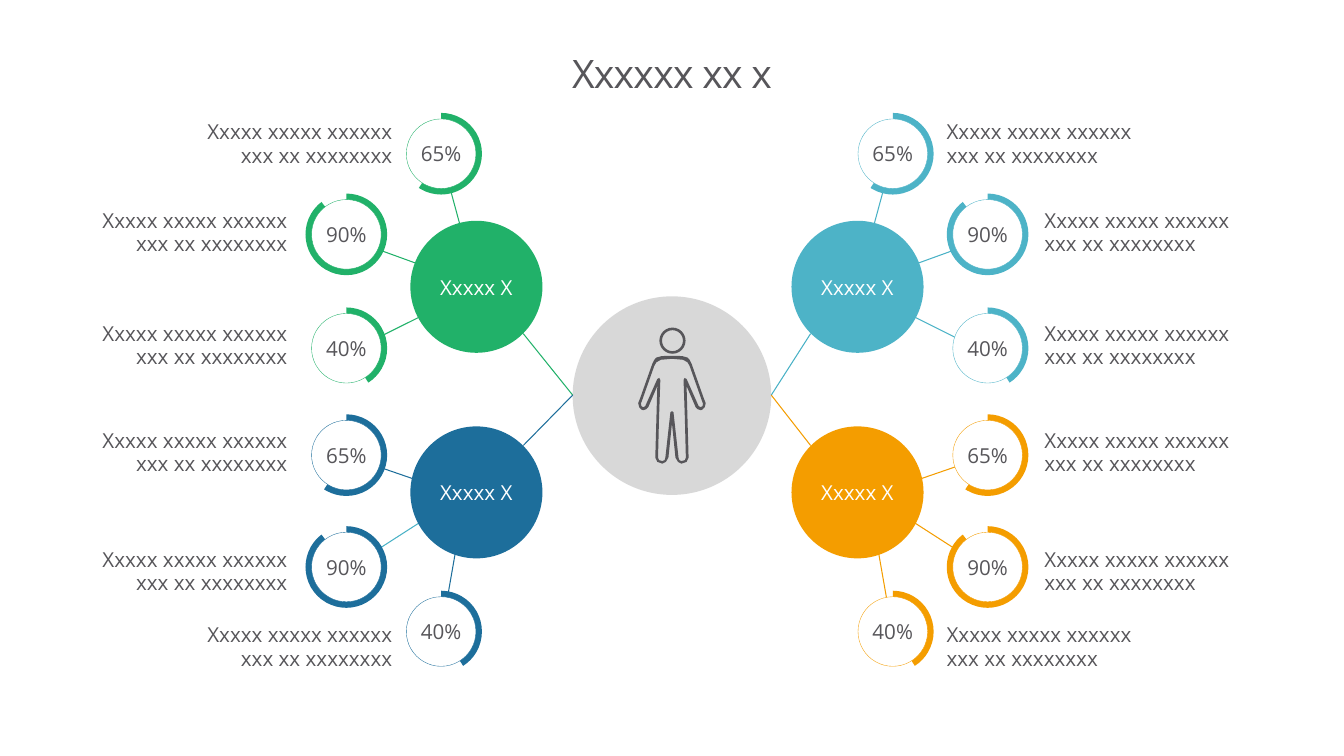
import pptx
import pptx.dml.color
import pptx.enum.shapes
import pptx.enum.text
import pptx.oxml
import pptx.oxml.ns
import pptx.util
from pptx.util import Inches

SHAPE = pptx.enum.shapes.MSO_SHAPE
ALIGN = pptx.enum.text.PP_ALIGN
THEME = {
    "font": "Open Sans", "title": 28, "body": 14.7,
    "text": "57565A", "white": "FFFFFF", "disc": "808080",
    "green": "21B169", "navy": "1D6E9B", "teal": "4DB3C7",
    "teal line": "48B1C6", "orange": "F49D00",
}
MIRROR = 13.23  # a right-hand x becomes MIRROR - x on the left
DISC_LEFT, DISC_TOP, DISC_SIZE = 5.68, 2.94, 1.97
LABEL = "Xxxxx xxxxx xxxxxx xxx xx xxxxxxxx"

deck = pptx.Presentation()
deck.slide_width, deck.slide_height = Inches(13.33), Inches(7.5)
page = deck.slides.add_slide(deck.slide_layouts[6])


def write(shape, text, align, color="text", size="body", spacing=None, wrap=True):
    frame = shape.text_frame
    frame.text = text
    frame.word_wrap = wrap
    para = frame.paragraphs[0]
    para.alignment = align
    if spacing:
        para.line_spacing = spacing
    span = para.runs[0]
    span.font.name = THEME["font"]
    span.font.size = pptx.util.Pt(THEME[size])
    span.font.color.rgb = pptx.dml.color.RGBColor.from_string(THEME[color])
    return span


def add_round(kind, left, top, size, fill, outline=None, text=None, color="text"):
    shape = page.shapes.add_shape(
        kind, Inches(left), Inches(top), Inches(size), Inches(size))
    shape.shadow.inherit = False
    shape.fill.solid()
    shape.fill.fore_color.rgb = pptx.dml.color.RGBColor.from_string(THEME[fill])
    if outline:
        shape.line.color.rgb = pptx.dml.color.RGBColor.from_string(THEME[outline])
        shape.line.width = pptx.util.Pt(0.25)
    else:
        shape.line.fill.background()
    if text:
        shape.text_frame.vertical_anchor = pptx.enum.text.MSO_ANCHOR.MIDDLE
        write(shape, text, ALIGN.CENTER, color, wrap=False)
    return shape


# Title
title = page.shapes.add_textbox(Inches(1), Inches(0.31), Inches(11.33), Inches(0.89))
frame = title.text_frame
frame.margin_left = frame.margin_right = frame.margin_top = frame.margin_bottom = 0
frame.vertical_anchor = pptx.enum.text.MSO_ANCHOR.MIDDLE
title_span = write(title, "Xxxxxx xx x", ALIGN.CENTER, size="title", spacing=0.86)
title_span._r.get_or_add_rPr().set("spc", "-50")

# Columns: dial left on the right side, label left on the right and left sides
COLUMNS = {"inner": (8.45, 9.29, 1.8), "outer": (9.39, 10.26, 0.76)}
SWEEP = {"65%": 212.97, "90%": 322.58, "40%": 147.33}  # degrees from the top

# Dials: column, value, dial top, label top, spoke from hub to dial
UPPER = [
    ("inner", "65%", 1.12, 1.15, (8.5, 2.85, 8.85, 1.56)),
    ("outer", "90%", 1.92, 2.03, (8.53, 2.82, 9.77, 2.37)),
    ("outer", "40%", 3.05, 3.15, (8.5, 2.86, 9.76, 3.49)),
]
LOWER = [
    ("outer", "65%", 4.11, 4.21, (8.64, 4.92, 9.77, 4.53)),
    ("outer", "90%", 5.22, 5.39, (8.61, 4.89, 9.76, 5.63)),
    ("inner", "40%", 5.86, 6.14, (8.61, 4.89, 8.85, 6.26)),
]

# Branches: left side, colour, line colour, colour of the 90% spoke, hub top,
# y where the link meets the hub, dials
BRANCHES = [
    (False, "teal", "teal line", "teal line", 2.19, 3.31, UPPER),
    (False, "orange", "orange", "orange", 4.23, 4.42, LOWER),
    (True, "green", "green", "green", 2.19, 3.31, UPPER),
    (True, "navy", "navy", "teal line", 4.23, 4.42, LOWER),
]

for on_left, color, line_color, spoke_color, hub_top, link_y, dials in BRANCHES:
    # Lines: the link starts exactly on the edge of the central disc
    disc_edge = MIRROR - DISC_LEFT if on_left else DISC_LEFT + DISC_SIZE
    lines = [((disc_edge, 3.92, 8.04, link_y), line_color)]
    for column, value, dial_top, label_top, spoke in dials:
        lines.append((spoke, spoke_color if value == "90%" else line_color))
    for (x1, y1, x2, y2), stroke in lines:
        if on_left:
            x1, x2 = MIRROR - x1, MIRROR - x2
        line = page.shapes.add_connector(
            pptx.enum.shapes.MSO_CONNECTOR.STRAIGHT,
            Inches(x1), Inches(y1), Inches(x2), Inches(y2))
        line.line.color.rgb = pptx.dml.color.RGBColor.from_string(THEME[stroke])
        line.line.width = pptx.util.Pt(0.75)
        line._element.spPr.append(pptx.oxml.parse_xml(
            "<a:effectLst %s/>" % pptx.oxml.ns.nsdecls("a")))

    # Dials and labels
    for column, value, dial_top, label_top, spoke in dials:
        dial_left, right_label, left_label = COLUMNS[column]
        if on_left:
            dial_left = MIRROR - dial_left - 0.81
        pie = add_round(SHAPE.PIE, dial_left, dial_top, 0.81, color)
        pie.rotation = 270
        pie.adjustments[0] = 0
        pie.adjustments[1] = SWEEP[value] * 0.6  # 60000 units per degree
        add_round(SHAPE.OVAL, dial_left + 0.06, dial_top + 0.06, 0.69,
                  "white", color, value)
        label = page.shapes.add_textbox(
            Inches(left_label if on_left else right_label), Inches(label_top),
            Inches(2.19), Inches(0.57))
        write(label, LABEL, ALIGN.RIGHT if on_left else ALIGN.LEFT, spacing=0.95)
        label.text_frame.auto_size = pptx.enum.text.MSO_AUTO_SIZE.SHAPE_TO_FIT_TEXT

    # Hub
    hub_left = MIRROR - 7.85 - 1.31 if on_left else 7.85
    add_round(SHAPE.OVAL, hub_left, hub_top, 1.31, color, text="Xxxxx X", color="white")

# Central disc
disc = add_round(SHAPE.OVAL, DISC_LEFT, DISC_TOP, DISC_SIZE, "disc")
disc_color = disc._element.spPr.find(".//" + pptx.oxml.ns.qn("a:srgbClr"))
disc_color.append(pptx.oxml.parse_xml(
    '<a:alpha %s val="30000"/>' % pptx.oxml.ns.nsdecls("a")))

# Person: ring head, and a body given by right halves in hundredths of an inch
head = add_round(SHAPE.DONUT, 6.54, 3.25, 0.26, "text")
head.adjustments[0] = 0.1
BODY_CENTRE = 666.5
OUTER_HALF = [
    (0, 420), (3.5, 454), (6, 458.3), (9.5, 460), (14.5, 458.3), (16.5, 454),
    (14.5, 383), (23.5, 404), (25.5, 406), (28.5, 407), (30, 406.5), (32.5, 404),
    (33.5, 400), (31.5, 395), (19.5, 361), (17.5, 357), (15.5, 354.8),
    (10, 353.3), (0, 353),
]
INNER_HALF = [
    (0, 408), (1.5, 409), (6.5, 454), (7.3, 456.5), (9.5, 457.5), (12.8, 456.5),
    (13.8, 454), (12.8, 415), (11.5, 377), (12.5, 375), (14.5, 376), (26.5, 403),
    (28.5, 404), (30.3, 403), (30.8, 400.5), (29.5, 397), (17.5, 363),
    (15.5, 359.5), (11, 357), (0, 356),
]
builder = None
for half in (OUTER_HALF, INNER_HALF):
    outline = half + [(-x, y) for x, y in half[-2:0:-1]]
    points = [(Inches((BODY_CENTRE + x) / 100), Inches(y / 100)) for x, y in outline]
    if builder is None:
        builder = page.shapes.build_freeform(*points[0])
    else:
        builder.move_to(*points[0])
    builder.add_line_segments(points[1:], close=True)
body = builder.convert_to_shape()
body.shadow.inherit = False
body.fill.solid()
body.fill.fore_color.rgb = pptx.dml.color.RGBColor.from_string(THEME["text"])
body.line.fill.background()

deck.save("out.pptx")
